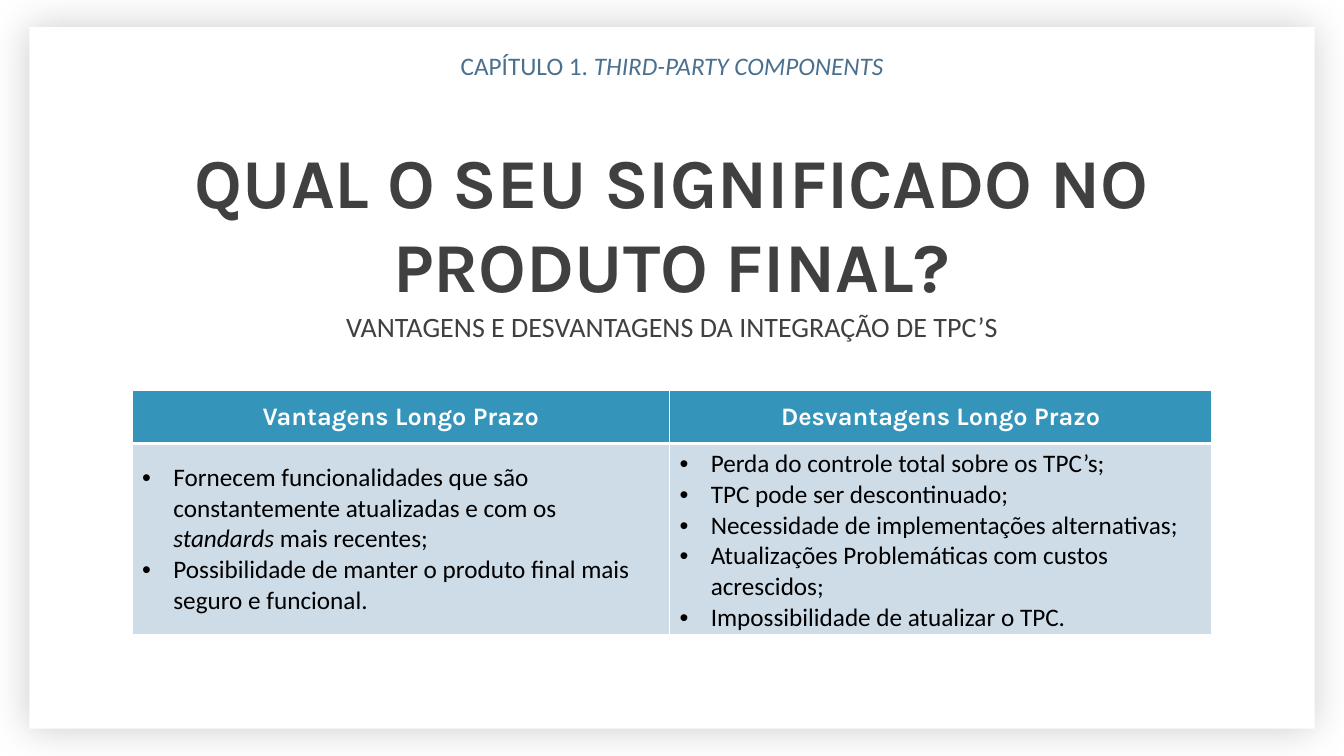
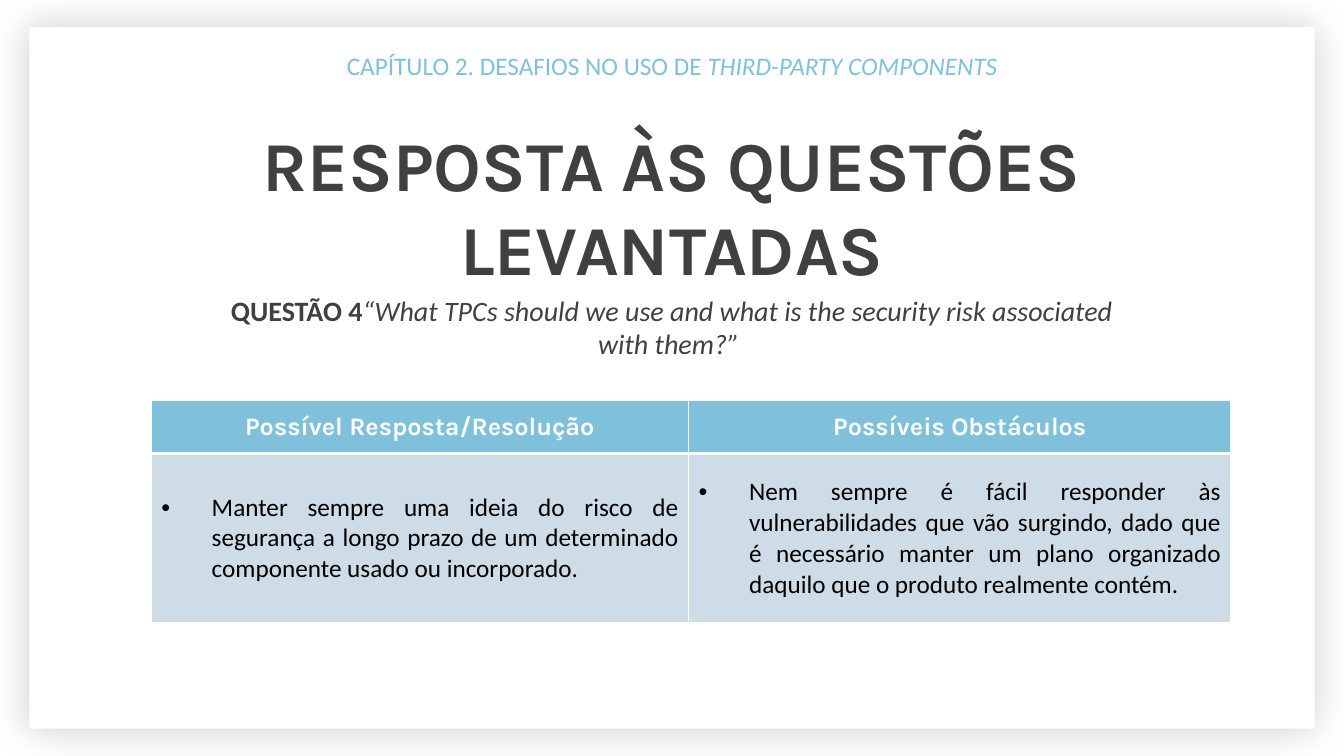
from lxml import etree
from pptx import Presentation
from pptx import util as u
from pptx.dml.color import RGBColor
from pptx.enum import shapes, text
from pptx.oxml import ns

COLORS = {
    "white": "FFFFFF", "black": "000000", "title": "404040", "body": "CEDCE7",
    "chapter 1": "4A7090", "header 1": "3494BA", "chapter 2": "7FC1DB",
}
HEADING_FONT, BODY_FONT = "Karla", "Calibri"
WIDTH, HEIGHT = 13.33, 7.5
MARGIN_X, MARGIN_Y = 0.29, 0.27
COLUMNS, ROWS = (5.33, 5.38), (0.53, 1.68)
SUBTITLE_DROP = 1.7

# Runs are (text, style) pairs: "b" is bold, "i" is italic
SLIDES = [
    {
        "chapter": [("CAPÍTULO 1. ", ""), ("THIRD-PARTY COMPONENTS", "i")],
        "chapter color": "chapter 1",
        "title": "QUAL O SEU SIGNIFICADO NO PRODUTO FINAL?", "title top": 1.32,
        "subtitle": [("VANTAGENS E DESVANTAGENS DA INTEGRAÇÃO DE TPC’S", "")],
        "subtitle size": (7.59, 0.44),
        "table at": (1.31, 3.87), "header color": "header 1",
        "headers": ["Vantagens Longo Prazo", "Desvantagens Longo Prazo"],
        "indent": 0.31, "align": text.PP_ALIGN.LEFT,
        "bullets": [
            [
                [("Fornecem funcionalidades que são constantemente atualizadas e com os ", ""),
                 ("standards", "i"), (" mais recentes;", "")],
                [("Possibilidade de manter o produto final mais seguro e funcional.", "")],
            ],
            [
                [("Perda do controle total sobre os TPC’s;", "")],
                [("TPC pode ser descontinuado;", "")],
                [("Necessidade de implementações alternativas;", "")],
                [("Atualizações Problemáticas com custos acrescidos;", "")],
                [("Impossibilidade de atualizar o TPC.", "")],
            ],
        ],
    },
    {
        "chapter": [("CAPÍTULO 2. DESAFIOS NO USO DE", ""), (" THIRD-PARTY COMPONENTS", "i")],
        "chapter color": "chapter 2",
        "title": "RESPOSTA ÀS QUESTÕES LEVANTADAS", "title top": 1.16,
        "subtitle": [
            ("QUESTÃO 4", "b"),
            ("“What TPCs should we use and what is the security risk associated with them?” ", "i"),
        ],
        "subtitle size": (9.34, 0.77),
        "table at": (1.5, 3.97), "header color": "chapter 2",
        "headers": ["Possível Resposta/Resolução", "Possíveis Obstáculos"],
        "indent": 0.5, "align": text.PP_ALIGN.JUSTIFY,
        "bullets": [
            [[("Manter sempre uma ideia do risco de segurança a longo prazo de um "
               "determinado componente usado ou incorporado.", "")]],
            [[("Nem sempre é fácil responder às vulnerabilidades que vão surgindo, dado que "
               "é necessário manter um plano organizado daquilo que o produto realmente "
               "contém. ", "")]],
        ],
    },
]


def write(para, runs, size, font, color, align=text.PP_ALIGN.CENTER):
    para.alignment = align
    for words, style in runs:
        span = para.add_run()
        span.text = words
        span.font.size = u.Pt(size)
        span.font.name = font
        span.font.bold = "b" in style
        span.font.italic = "i" in style
        span.font.color.rgb = RGBColor.from_string(COLORS[color])


def add_child(parent, tag, **attributes):
    return etree.SubElement(parent, ns.qn(tag), {k: str(v) for k, v in attributes.items()})


deck = Presentation()
deck.slide_width, deck.slide_height = u.Inches(WIDTH), u.Inches(HEIGHT)

for content in SLIDES:
    page = deck.slides.add_slide(deck.slide_layouts[6])

    # White card with a soft shadow all around
    card = page.shapes.add_shape(
        shapes.MSO_SHAPE.RECTANGLE, u.Inches(MARGIN_X), u.Inches(MARGIN_Y),
        u.Inches(WIDTH - 2 * MARGIN_X), u.Inches(HEIGHT - 2 * MARGIN_Y))
    card.fill.solid()
    card.fill.fore_color.rgb = RGBColor.from_string(COLORS["white"])
    card.line.fill.background()
    card.shadow.inherit = False
    effects = card.element.spPr.find(ns.qn("a:effectLst"))
    shadow = add_child(effects, "a:outerShdw", blurRad=u.Pt(29), dist=0, dir=0,
                       algn="ctr", rotWithShape=0)
    add_child(add_child(shadow, "a:srgbClr", val=COLORS["black"]), "a:alpha", val=20000)

    # Chapter, title and subtitle, all centred on the slide
    title_top = content["title top"]
    for top, (width, height), runs, size, font, color in [
        (0.45, (7.59, 0.4), content["chapter"], 18, BODY_FONT, content["chapter color"]),
        (title_top, (10.33, 1.78), [(content["title"], "b")], 50, HEADING_FONT, "title"),
        (title_top + SUBTITLE_DROP, content["subtitle size"], content["subtitle"],
         20, BODY_FONT, "title"),
    ]:
        box = page.shapes.add_textbox(u.Inches((WIDTH - width) / 2), u.Inches(top),
                                      u.Inches(width), u.Inches(height))
        box.text_frame.word_wrap = True
        box.text_frame.auto_size = text.MSO_AUTO_SIZE.SHAPE_TO_FIT_TEXT
        write(box.text_frame.paragraphs[0], runs, size, font, color)

    # Two-column comparison table
    left, top = content["table at"]
    table = page.shapes.add_table(
        len(ROWS), len(COLUMNS), u.Inches(left), u.Inches(top),
        u.Inches(sum(COLUMNS)), u.Inches(sum(ROWS))).table
    table.horz_banding = False
    for row, height in zip(table.rows, ROWS):
        row.height = u.Inches(height)

    for c, width in enumerate(COLUMNS):
        table.columns[c].width = u.Inches(width)
        header, body = table.cell(0, c), table.cell(1, c)

        # White borders, thicker between header and body
        for cell, fill, thick_side in [(header, content["header color"], "B"),
                                       (body, "body", "T")]:
            cell.vertical_anchor = text.MSO_ANCHOR.MIDDLE
            properties = cell._tc.get_or_add_tcPr()
            for side in "LRTB":
                border = add_child(properties, f"a:ln{side}",
                                   w=u.Pt(3 if side == thick_side else 1))
                add_child(add_child(border, "a:solidFill"), "a:srgbClr", val=COLORS["white"])
            cell.fill.solid()
            cell.fill.fore_color.rgb = RGBColor.from_string(COLORS[fill])

        write(header.text_frame.paragraphs[0], [(content["headers"][c], "b")],
              18, HEADING_FONT, "white")

        # Bulleted body with a hanging indent
        indent = u.Inches(content["indent"])
        for i, runs in enumerate(content["bullets"][c]):
            frame = body.text_frame
            para = frame.add_paragraph() if i else frame.paragraphs[0]
            write(para, runs, 18, BODY_FONT, "black", content["align"])
            settings = para._p.get_or_add_pPr()
            settings.set("marL", str(indent))
            settings.set("indent", str(-indent))
            add_child(settings, "a:buFont", typeface="Arial")
            add_child(settings, "a:buChar", char="•")

deck.save("out.pptx")
